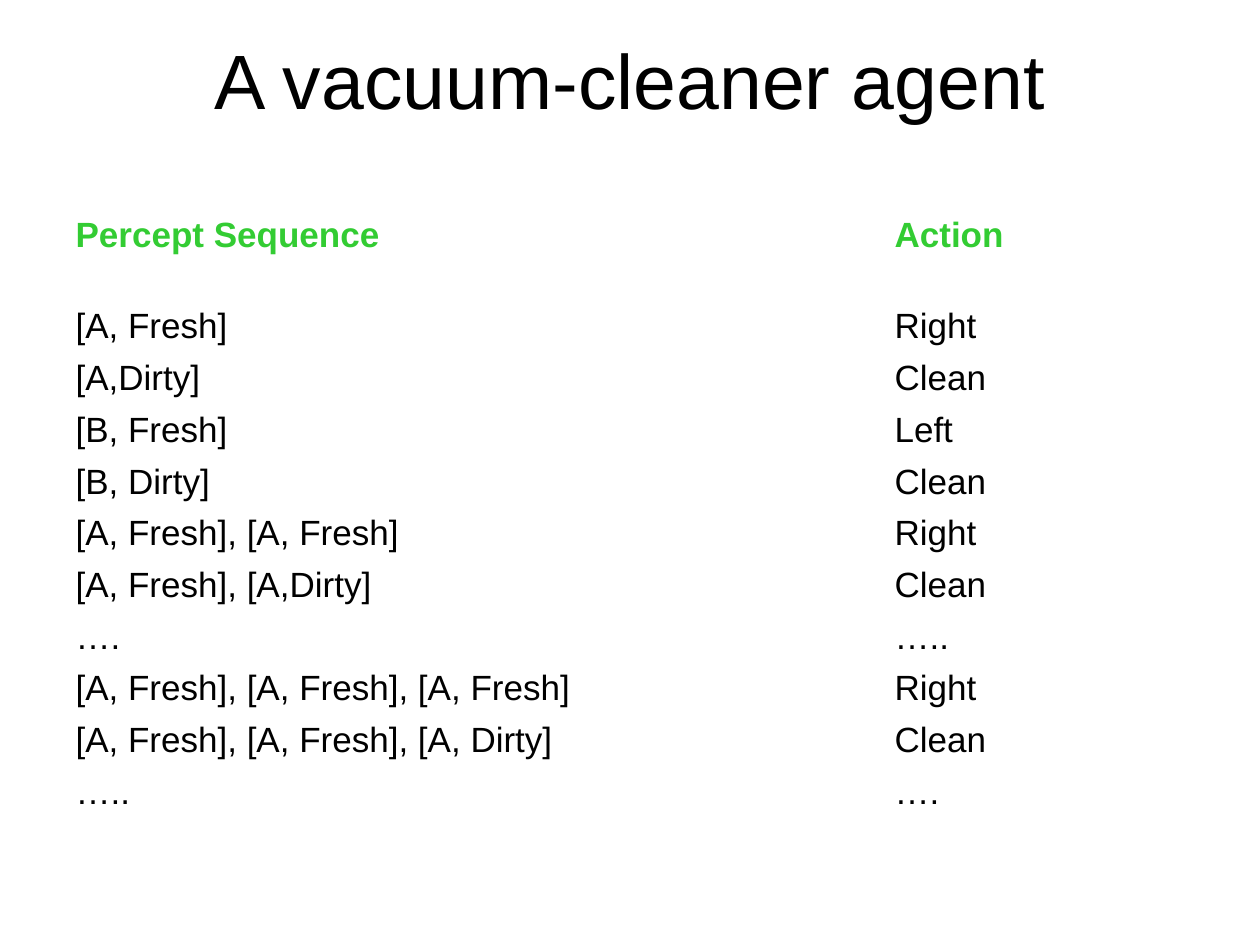
from pptx import Presentation
from pptx.dml.color import RGBColor
from pptx.enum.text import MSO_ANCHOR, PP_ALIGN
from pptx.util import Pt


def px(n):
    return round(n * 914400 / 126)


def color(code):
    return RGBColor.from_string(code)


class Deck:
    font = "Arial"
    ink = "000000"
    green = "33CC33"

    def __init__(self, show):
        self.slide = show.slides.add_slide(show.slide_layouts[5])

    def run(self, para, text, size, code, bold=False):
        run = para.add_run()
        run.text = text
        font = run.font
        font.name, font.size, font.bold = self.font, Pt(size), bold
        font.color.rgb = color(code)

    def title(self, text, left, top, width, height):
        shape = self.slide.shapes.title
        shape.left, shape.top = px(left), px(top)
        shape.width, shape.height = px(width), px(height)
        frame = shape.text_frame
        frame.word_wrap = True
        frame.vertical_anchor = MSO_ANCHOR.MIDDLE
        para = frame.paragraphs[0]
        para.alignment = PP_ALIGN.CENTER
        self.run(para, text, 44, self.ink)

    def table(self, data, left, top, widths, heights):
        frame = self.slide.shapes.add_table(
            len(data), len(widths), px(left), px(top),
            px(sum(widths)), px(sum(heights)))
        table = frame.table
        table.first_row = table.horz_banding = False
        for col, width in zip(table.columns, widths):
            col.width = px(width)
        for i, (row, height) in enumerate(zip(data, heights)):
            table.rows[i].height = px(height)
            head = i == 0
            for j, text in enumerate(row):
                cell = table.cell(i, j)
                cell.fill.background()
                self.run(cell.text_frame.paragraphs[0], text, 20,
                         self.green if head else self.ink, head)


def main():
    show = Presentation()
    show.slide_width, show.slide_height = px(1260), px(945)
    deck = Deck(show)
    deck.title("A vacuum-cleaner agent", 63, 0, 1134, 158)
    data = [
        ("Percept Sequence", "Action"),
        ("[A, Fresh]", "Right"),
        ("[A,Dirty]", "Clean"),
        ("[B, Fresh]", "Left"),
        ("[B, Dirty]", "Clean"),
        ("[A, Fresh], [A, Fresh]", "Right"),
        ("[A, Fresh], [A,Dirty]", "Clean"),
        ("….", "….."),
        ("[A, Fresh], [A, Fresh], [A, Fresh]", "Right"),
        ("[A, Fresh], [A, Fresh], [A, Dirty]", "Clean"),
        ("…..", "…."),
    ]
    deck.table(data, 63, 210, [819, 305], [91] + [51] * 9 + [95])
    show.save("out.pptx")


if __name__ == "__main__":
    main()
